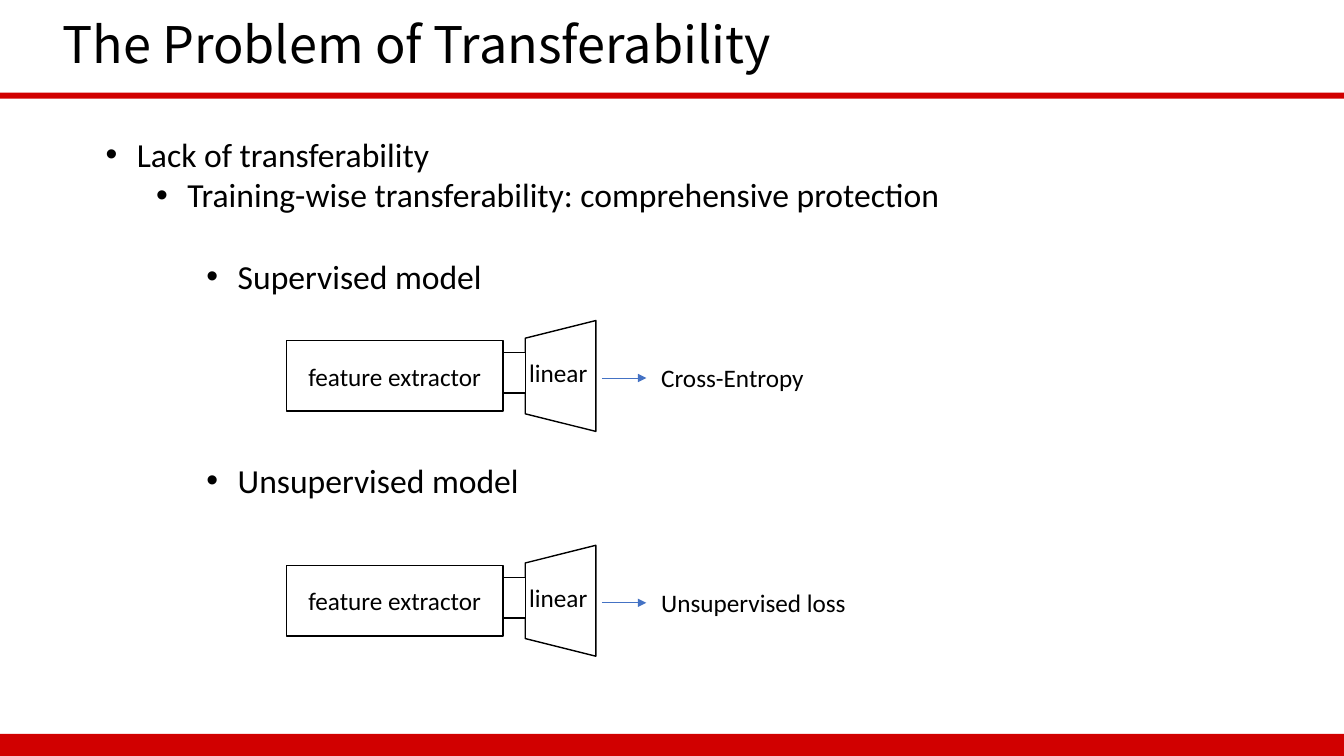
"""Build the slide on the problem of transferability."""
import pptx
import pptx.dml.color
import pptx.enum.shapes
import pptx.enum.text
import pptx.oxml
import pptx.oxml.ns
import pptx.util
from pptx.util import Inches

COLORS = {"red": "D10000", "black": "000000", "white": "FFFFFF", "arrow": "4472C4"}
SHAPES = pptx.enum.shapes.MSO_SHAPE
ALIGN = pptx.enum.text.PP_ALIGN
ANCHOR = pptx.enum.text.MSO_ANCHOR
LINE_HEIGHT = 29.3
BULLETS = [
    (0, "Lack of transferability", 0),
    (1, "Training-wise transferability: comprehensive protection", 0),
    (2, "Supervised model", 1),
    (2, "Unsupervised model", 4),
]
MODELS = [(3.73, "Cross-Entropy"), (5.96, "Unsupervised loss")]


def color(name):
    return pptx.dml.color.RGBColor.from_string(COLORS[name])


def box(left, top, width, height):
    return [Inches(length) for length in (left, top, width, height)]


def add_run(paragraph, text, size, font="Calibri"):
    run = paragraph.add_run()
    run.text = text
    run.font.size = pptx.util.Pt(size)
    run.font.name = font
    run.font.color.rgb = color("black")


def add_text(slide, area, text, size, font="Calibri"):
    frame = slide.shapes.add_textbox(*box(*area)).text_frame
    frame.word_wrap = True
    add_run(frame.paragraphs[0], text, size, font)
    return frame


def add_shape(slide, kind, area, fill, line=None):
    shape = slide.shapes.add_shape(kind, *box(*area))
    shape.shadow.inherit = False
    shape.fill.solid()
    shape.fill.fore_color.rgb = color(fill)
    if line:
        shape.line.color.rgb = color(line)
        shape.line.width = pptx.util.Pt(1)
    else:
        shape.line.fill.background()
    return shape


def add_arrow(slide, left, right, middle):
    arrow = slide.shapes.add_connector(
        pptx.enum.shapes.MSO_CONNECTOR.STRAIGHT,
        Inches(left), Inches(middle), Inches(right), Inches(middle))
    arrow.line.color.rgb = color("arrow")
    arrow.line.width = pptx.util.Pt(0.5)
    line = arrow.line._get_or_add_ln()
    pptx.oxml.ns.qn("a:tailEnd")
    line.append(line.makeelement(pptx.oxml.ns.qn("a:tailEnd"), {"type": "triangle"}))
    properties = arrow._element.spPr
    properties.append(properties.makeelement(pptx.oxml.ns.qn("a:effectLst"), {}))


def add_bullets(slide, area, bullets):
    frame = slide.shapes.add_textbox(*box(*area)).text_frame
    frame.word_wrap = True
    for index, (level, text, lines_before) in enumerate(bullets):
        paragraph = frame.add_paragraph() if index else frame.paragraphs[0]
        paragraph.level = level
        properties = paragraph._p.get_or_add_pPr()
        properties.set("marL", str(Inches(0.31 + 0.5 * level)))
        properties.set("indent", str(Inches(-0.31)))
        for tag, name, value in (("a:buFont", "typeface", "Arial"), ("a:buChar", "char", "•")):
            properties.append(properties.makeelement(pptx.oxml.ns.qn(tag), {name: value}))
        if lines_before:
            paragraph.space_before = pptx.util.Pt(lines_before * LINE_HEIGHT)
        add_run(paragraph, text, 24)


def add_model(slide, middle, loss):
    extractor = add_shape(slide, SHAPES.RECTANGLE, (2.84, middle - 0.35, 2.15, 0.7),
                          "white", "black")
    frame = extractor.text_frame
    frame.vertical_anchor = ANCHOR.MIDDLE
    frame.paragraphs[0].alignment = ALIGN.CENTER
    add_run(frame.paragraphs[0], "feature extractor", 18)
    head = add_shape(slide, SHAPES.TRAPEZOID, (5.01, middle - 0.35, 1.1, 0.7),
                     "white", "black")
    head.rotation = 270
    add_text(slide, (5.15, middle - 0.23, 0.82, 0.4), "linear", 18)
    add_shape(slide, SHAPES.RECTANGLE, (4.99, middle - 0.23, 0.22, 0.4), "white", "black")
    add_arrow(slide, 5.97, 6.41, middle + 0.02)
    add_text(slide, (6.46, middle - 0.18, 2.26, 0.4), loss, 18)


def main():
    presentation = pptx.Presentation()
    presentation.slide_width = Inches(13.33)
    presentation.slide_height = Inches(7.5)
    slide = presentation.slides.add_slide(presentation.slide_layouts[6])
    add_shape(slide, SHAPES.RECTANGLE, (0, 7.28, 13.33, 0.22), "red")
    add_shape(slide, SHAPES.RECTANGLE, (0, 0.92, 13.33, 0.06), "red")
    title = add_text(slide, (0.52, 0.15, 9.61, 0.63), "The Problem of Transferability",
                     36, "Noto Sans CJK SC")
    title.vertical_anchor = ANCHOR.MIDDLE
    title.paragraphs[0].line_spacing = 0.9
    add_bullets(slide, (0.95, 1.28, 8.56, 3.74), BULLETS)
    for middle, loss in MODELS:
        add_model(slide, middle, loss)
    presentation.save("out.pptx")


if __name__ == "__main__":
    main()
